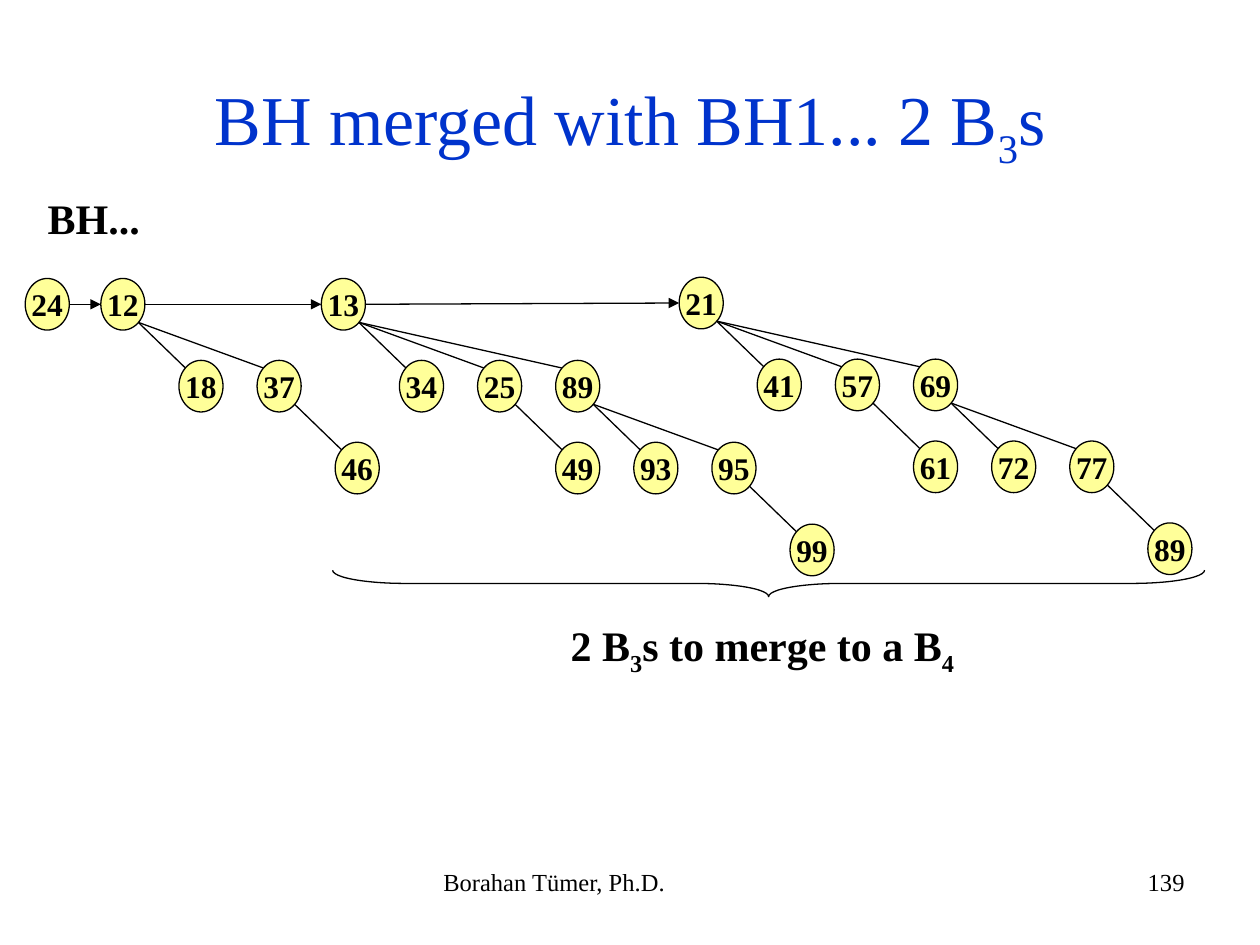
import pptx
import pptx.dml.color
import pptx.enum.shapes
import pptx.enum.text
import pptx.oxml
import pptx.oxml.ns
import pptx.util

Inches, Pt = pptx.util.Inches, pptx.util.Pt
ALIGN = pptx.enum.text.PP_ALIGN
ANCHOR = pptx.enum.text.MSO_ANCHOR
SHAPE = pptx.enum.shapes.MSO_SHAPE

COLORS = {"title": "0033CC", "ink": "000000", "node": "FFFF99"}
FONT = "Times New Roman"

# Runs are (text, is_subscript).
TITLE = [("BH merged with BH1... 2 B", False), ("3", True), ("s", False)]
TITLE_BOX = (0.5, 0.3, 9, 1.36)

# Runs, box, size, bold, alignment
TEXTS = [
    ([("BH...", False)], (0.28, 1.48, 1.05, 0.5), 24, True, ALIGN.LEFT),
    ([("2 B", False), ("3", True), ("s to merge to a B", False), ("4", True)],
     (4.43, 4.87, 3.44, 0.56), 24, True, ALIGN.LEFT),
    ([("Borahan Tümer, Ph.D.", False)], (3.42, 6.83, 3.17, 0.52), 14, False, ALIGN.LEFT),
    ([("139", False)], (7.17, 6.83, 2.33, 0.52), 14, False, ALIGN.RIGHT),
]

# Root left, root top, tree; a tree is (key, children).
HEAP = [
    (0.2, 2.21, (24, [])),
    (0.8, 2.21, (12, [(18, []), (37, [(46, [])])])),
    (2.55, 2.21, (13, [(34, []), (25, [(49, [])]),
                       (89, [(93, []), (95, [(99, [])])])])),
    (5.39, 2.2, (21, [(41, []), (57, [(61, [])]),
                      (69, [(72, []), (77, [(89, [])])])])),
]
NODE_WIDTH, NODE_HEIGHT = 0.35, 0.41
COLUMN_STEP, ROW_STEP = 0.62, 0.65
DIAGONAL = 0.85  # share of a node's box where its 45 degree point lies

BRACE_CENTER, BRACE_LENGTH, BRACE_DEPTH = (6.1, 4.63), 6.92, 0.21


def color(name):
    return pptx.dml.color.RGBColor.from_string(COLORS[name])


def write(frame, runs, size, bold, alignment, ink="ink"):
    paragraph = frame.paragraphs[0]
    paragraph.alignment = alignment
    for text, is_subscript in runs:
        run = paragraph.add_run()
        run.text = text
        run.font.name = FONT
        run.font.size = Pt(size)
        run.font.bold = bold
        run.font.color.rgb = color(ink)
        if is_subscript:
            run.font._element.set("baseline", "-25000")


def outline(shape):
    shape.line.color.rgb = color("ink")
    shape.line.width = Pt(0.75)


def add_line(shapes, start, end, arrow=False):
    line = shapes.add_connector(pptx.enum.shapes.MSO_CONNECTOR.STRAIGHT,
                                *map(Inches, (*start, *end)))
    outline(line)
    if arrow:
        head = pptx.oxml.parse_xml(
            f'<a:tailEnd {pptx.oxml.ns.nsdecls("a")} type="triangle"/>')
        line.line._get_or_add_ln().append(head)
    line._element.spPr.append(
        pptx.oxml.parse_xml(f'<a:effectLst {pptx.oxml.ns.nsdecls("a")}/>'))


def add_node(shapes, key, left, top):
    node = shapes.add_shape(SHAPE.OVAL, *map(Inches, (left, top, NODE_WIDTH, NODE_HEIGHT)))
    node.shadow.inherit = False
    node.fill.solid()
    node.fill.fore_color.rgb = color("node")
    outline(node)
    node.text_frame.word_wrap = False
    node.text_frame.vertical_anchor = ANCHOR.MIDDLE
    write(node.text_frame, [(str(key), False)], 18, True, ALIGN.CENTER)


def add_tree(shapes, tree, left, top):
    """Draw a tree whose nth child sits n columns right and one row down."""
    key, children = tree
    add_node(shapes, key, left, top)
    start = (left + NODE_WIDTH * DIAGONAL, top + NODE_HEIGHT * DIAGONAL)
    for column, child in enumerate(children, 1):
        child_left, child_top = left + column * COLUMN_STEP, top + ROW_STEP
        end = (child_left + NODE_WIDTH * (1 - DIAGONAL),
               child_top + NODE_HEIGHT * (1 - DIAGONAL))
        add_line(shapes, start, end)
        add_tree(shapes, child, child_left, child_top)


def add_brace(shapes):
    center_x, center_y = BRACE_CENTER
    brace = shapes.add_shape(
        SHAPE.LEFT_BRACE, Inches(center_x - BRACE_DEPTH / 2),
        Inches(center_y - BRACE_LENGTH / 2), Inches(BRACE_DEPTH), Inches(BRACE_LENGTH))
    brace.rotation = 270
    brace.adjustments[0] = BRACE_LENGTH / 12 / BRACE_DEPTH
    brace.shadow.inherit = False
    brace.fill.background()
    outline(brace)


def main():
    presentation = pptx.Presentation()
    presentation.slide_width, presentation.slide_height = Inches(10), Inches(7.5)
    slide = presentation.slides.add_slide(presentation.slide_layouts[5])
    shapes = slide.shapes

    title = shapes.title
    title.left, title.top, title.width, title.height = map(Inches, TITLE_BOX)
    title.text_frame.auto_size = pptx.enum.text.MSO_AUTO_SIZE.NONE
    title.text_frame.vertical_anchor = ANCHOR.MIDDLE
    write(title.text_frame, TITLE, 40, False, ALIGN.CENTER, "title")

    for runs, box, size, bold, alignment in TEXTS:
        frame = shapes.add_textbox(*map(Inches, box)).text_frame
        frame.word_wrap = True
        write(frame, runs, size, bold, alignment)

    for left, top, tree in HEAP:
        add_tree(shapes.add_group_shape().shapes, tree, left, top)
    for (left, top, _), (next_left, next_top, _) in zip(HEAP, HEAP[1:]):
        add_line(shapes, (left + NODE_WIDTH, top + NODE_HEIGHT / 2),
                 (next_left, next_top + NODE_HEIGHT / 2), arrow=True)
    add_brace(shapes)

    presentation.save("out.pptx")


if __name__ == "__main__":
    main()
